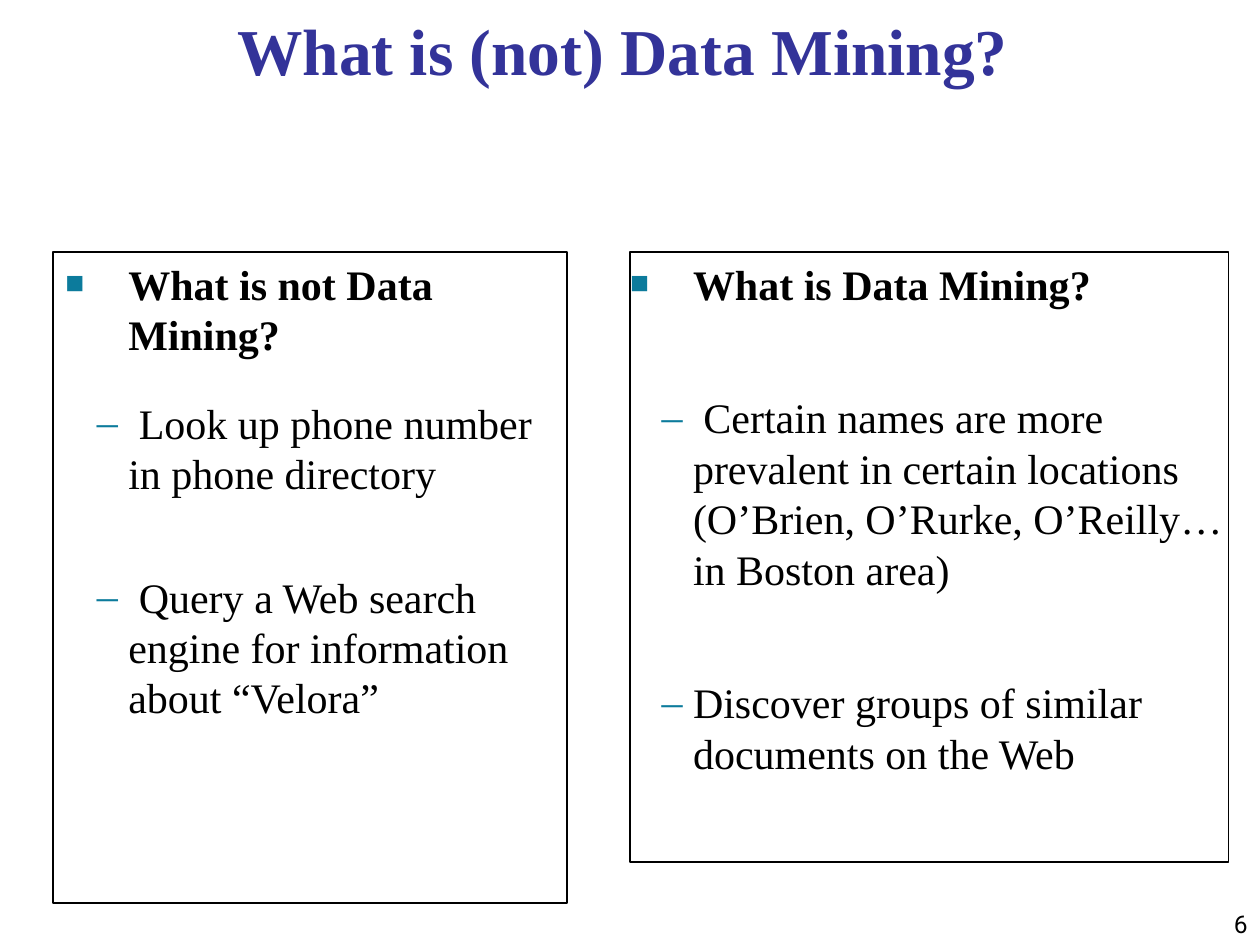
import pptx
import pptx.util
import pptx.dml.color
import pptx.enum.shapes
import pptx.enum.text
import pptx.oxml.ns
from lxml import etree

Inches = pptx.util.Inches
Pt = pptx.util.Pt
ALIGN = pptx.enum.text.PP_ALIGN
ANCHOR = pptx.enum.text.MSO_ANCHOR

COLORS = {"title": "333399", "text": "000000", "bullet": "0C7B9C"}
SERIF = "Times New Roman"
HANG = 0.5

# Each item: bullet level, space before in points, text
IS_MINING = [
    (0, 0, "What is Data Mining?"),
    (1, 43.6, " Certain names are more prevalent in certain locations "
              "(O’Brien, O’Rurke, O’Reilly… in Boston area)"),
    (1, 43.6, "Discover groups of similar documents on the Web"),
]
NOT_MINING = [
    (0, 0, "What is not Data Mining?"),
    (1, 18, " Look up phone number in phone directory"),
    (1, 37.6, " Query a Web search engine for information about “Velora”"),
]


def color(name):
    return pptx.dml.color.RGBColor.from_string(COLORS[name])


def add_text(para, text, size=24, font=SERIF, ink="text", bold=False,
             align=ALIGN.LEFT, before=0, after=0):
    para.alignment = align
    para.space_before, para.space_after = Pt(before), Pt(after)
    span = para.add_run()
    span.text = text
    span.font.size, span.font.name, span.font.bold = Pt(size), font, bold
    span.font.color.rgb = color(ink)


def add_bullet(para, char, percent, indent):
    properties = para._p.get_or_add_pPr()
    properties.set("marL", str(Inches(HANG)))
    properties.set("indent", str(-Inches(indent)))

    def add(parent, tag, **attributes):
        return etree.SubElement(parent, pptx.oxml.ns.qn(tag), **attributes)

    add(add(properties, "a:buClr"), "a:srgbClr", val=COLORS["bullet"])
    add(properties, "a:buSzPct", val=str(percent * 1000))
    add(properties, "a:buFont", typeface=SERIF)
    add(properties, "a:buChar", char=char)


def set_frame(frame, anchor, side=0.1):
    frame.word_wrap = True
    frame.vertical_anchor = anchor
    frame.margin_left = frame.margin_right = Inches(side)
    frame.margin_top = frame.margin_bottom = Inches(0.05)


def add_label(page, area, text, **text_format):
    """Place one line of text at the bottom of its area."""
    box = page.shapes.add_textbox(*map(Inches, area))
    set_frame(box.text_frame, ANCHOR.BOTTOM)
    add_text(box.text_frame.paragraphs[0], text, **text_format)


def add_panel(page, area, items, side):
    """Draw an outlined panel with a heading and dashed points."""
    box = page.shapes.add_shape(
        pptx.enum.shapes.MSO_SHAPE.RECTANGLE, *map(Inches, area))
    box.shadow.inherit = False
    box.fill.background()
    box.line.color.rgb = color("text")
    box.line.width = Pt(1)
    frame = box.text_frame
    set_frame(frame, ANCHOR.TOP, side)
    for index, (level, before, text) in enumerate(items):
        para = frame.add_paragraph() if index else frame.paragraphs[0]
        para.level = level
        if level:
            add_bullet(para, "–", 100, HANG / 2)
        else:
            add_bullet(para, "■", 75, HANG)
        add_text(para, text, bold=level == 0, before=before, after=4)


def main():
    deck = pptx.Presentation()
    deck.slide_width, deck.slide_height = Inches(10), Inches(7.5)
    page = deck.slides.add_slide(deck.slide_layouts[6])
    add_label(page, (0.25, 0, 9.39, 0.75), "What is (not) Data Mining?",
              size=37.4, ink="title", bold=True, align=ALIGN.CENTER)
    add_panel(page, (5, 2, 4.75, 4.84), IS_MINING, side=0)
    add_panel(page, (0.42, 2, 4.08, 5.17), NOT_MINING, side=0.1)
    add_label(page, (7.92, 7, 2.08, 0.5), "6",
              size=14, font="Roboto", align=ALIGN.RIGHT)
    deck.save("out.pptx")


if __name__ == "__main__":
    main()
